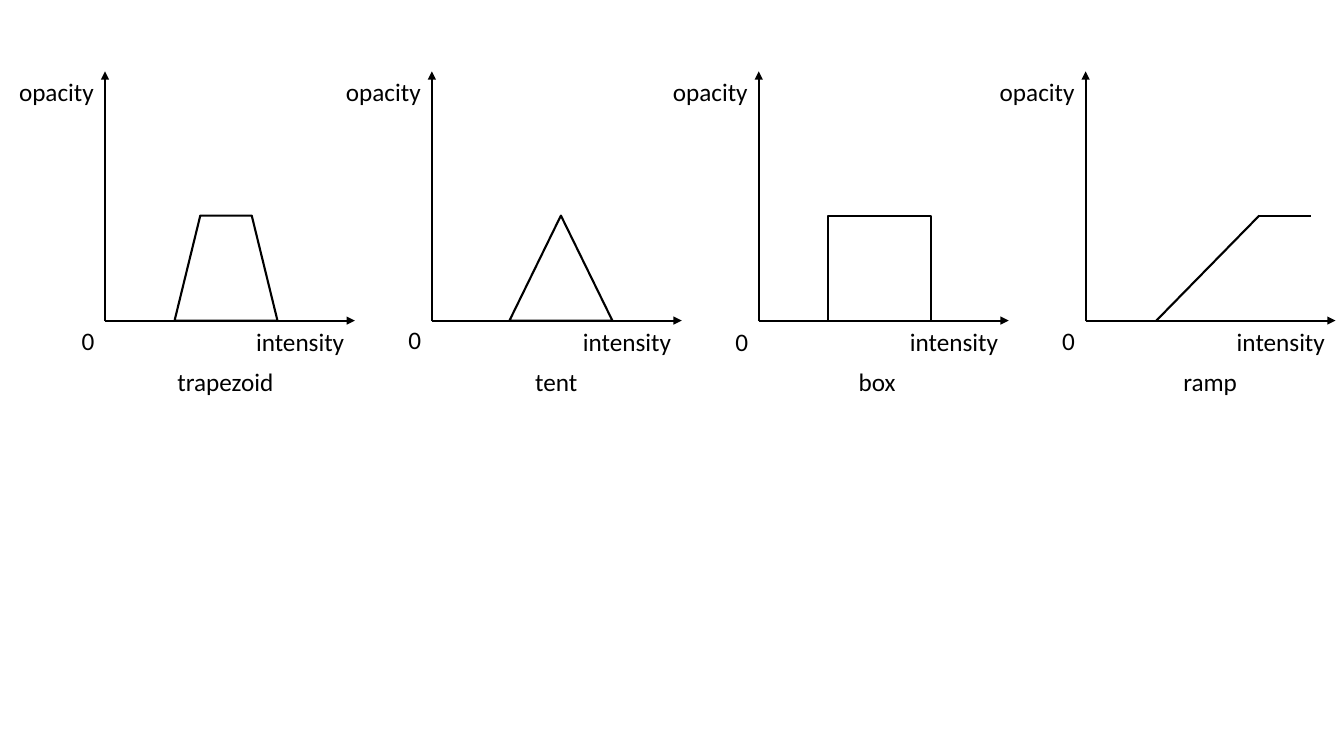
from lxml import etree
from pptx import Presentation
from pptx.dml.color import RGBColor
from pptx.enum import shapes, text
from pptx.oxml import ns
from pptx.util import Pt

BLACK = RGBColor(0, 0, 0)

# Geometry shared by the four graphs
FIRST_ORIGIN, PITCH = 75, 233.5
AXIS_TOP, BASELINE, AXIS_LENGTH = 51, 229, 178.5
CURVE_TOP, CURVE_WIDTH = 154, 73.5
LABEL_HEIGHT = 28.8

# Name, curve offset, trapezoid inset (None: ramp), zero label top,
# caption centre offset, caption width
GRAPHS = [
    ("trapezoid", 49.7, 0.25, 229, 86.8, 84.2),
    ("tent", 55.4, 0.5, 228.2, 89, 44.6),
    ("box", 49.7, 0, 229.7, 84.8, 41),
    ("ramp", 50.5, None, 229, 89.3, 53.3),
]


def add_label(parent, wording, left, top, width):
    box = parent.shapes.add_textbox(Pt(left), Pt(top), Pt(width), Pt(LABEL_HEIGHT))
    frame = box.text_frame
    frame.text = wording
    frame.word_wrap = False
    frame.auto_size = text.MSO_AUTO_SIZE.SHAPE_TO_FIT_TEXT
    font = frame.paragraphs[0].runs[0].font
    font.name, font.size = "Calibri", Pt(18)
    font.color.rgb = BLACK


def add_line(parent, x1, y1, x2, y2, arrow=False):
    line = parent.shapes.add_connector(
        shapes.MSO_CONNECTOR.STRAIGHT, Pt(x1), Pt(y1), Pt(x2), Pt(y2))
    line.line.color.rgb = BLACK
    line.line.width = Pt(1.5)
    if arrow:
        etree.SubElement(line.line._get_or_add_ln(), ns.qn("a:tailEnd"), type="triangle")
    etree.SubElement(line._element.spPr, ns.qn("a:effectLst"))


deck = Presentation()
deck.slide_width, deck.slide_height = Pt(960), Pt(540)
page = deck.slides.add_slide(deck.slide_layouts[6])

for index, (name, offset, inset, zero_top, centre, width) in enumerate(GRAPHS):
    origin = FIRST_ORIGIN + index * PITCH
    graph = page.shapes.add_group_shape()

    # Axes and their labels
    add_label(graph, "intensity", origin + 100.8, 229.7, 78.5)
    add_label(graph, "opacity", origin - 68.5, AXIS_TOP, 68.5)
    add_label(graph, "0", origin - 23.8, zero_top, 23.8)
    add_line(graph, origin, BASELINE, origin + AXIS_LENGTH, BASELINE, arrow=True)
    add_line(graph, origin, BASELINE + 0.5, origin, AXIS_TOP, arrow=True)

    # Transfer function
    start = origin + offset
    end = start + CURVE_WIDTH
    if inset is None:
        add_line(graph, start, BASELINE, end, CURVE_TOP)
        add_line(graph, end, CURVE_TOP, end + CURVE_WIDTH / 2, CURVE_TOP)
    else:
        curve = graph.shapes.add_shape(
            shapes.MSO_SHAPE.TRAPEZOID, Pt(start), Pt(CURVE_TOP),
            Pt(CURVE_WIDTH), Pt(BASELINE - CURVE_TOP))
        curve.adjustments[0] = inset
        curve.shadow.inherit = False
        curve.fill.background()
        curve.line.color.rgb = BLACK
        curve.line.width = Pt(1.5)

    # Caption
    add_label(page, name, origin + centre - width / 2, 257.8, width)

deck.save("out.pptx")
